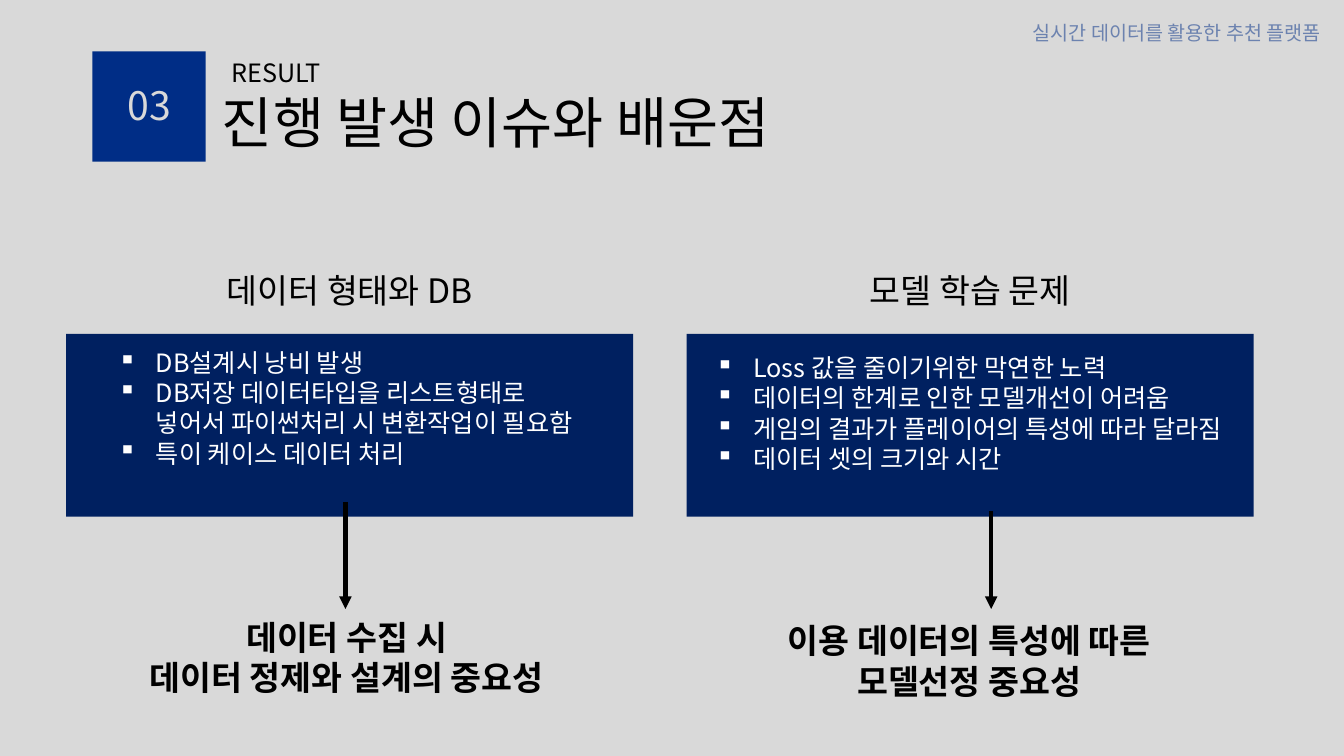
from lxml import etree
from pptx import Presentation
from pptx.dml.color import RGBColor
from pptx.enum.shapes import MSO_CONNECTOR, MSO_SHAPE
from pptx.enum.text import MSO_ANCHOR, PP_ALIGN
from pptx.oxml.ns import qn
from pptx.util import Pt

PX = 9525
FONT = "Noto Sans CJK KR"
GREY, BLUE, NAVY = "D9D9D9", "002D86", "002060"
BLACK, WHITE = "000000", "FFFFFF"
LEFT, CENTER = PP_ALIGN.LEFT, PP_ALIGN.CENTER
TOP, MIDDLE = MSO_ANCHOR.TOP, MSO_ANCHOR.MIDDLE
RECTANGLE, STRAIGHT = MSO_SHAPE.RECTANGLE, MSO_CONNECTOR.STRAIGHT
PANEL_TOP, PANEL_WIDTH, PANEL_HEIGHT = 318, 540, 174
HEADING_TOP, HEADING_HEIGHT = 252, 48
BULLET_INDENT = 36
ARROW_END = 580

COLUMNS = [
    {
        "left": 63,
        "heading": "데이터 형태와 DB",
        "list_box": (103, 326, 462, 156),
        "items": [
            "DB설계시 낭비 발생",
            "DB저장 데이터타입을 리스트형태로 넣어서 파이썬처리 시 변환작업이 필요함",
            "특이 케이스 데이터 처리",
        ],
        "lesson_box": (-18, 583, 696, 87),
        "lesson": ["데이터 수집 시", "데이터 정제와 설계의 중요성"],
        "arrow": (329, 478),
    },
    {
        "left": 654,
        "heading": "모델 학습 문제",
        "list_box": (672, 331, 522, 126),
        "items": [
            "Loss 값을 줄이기위한 막연한 노력",
            "데이터의 한계로 인한 모델개선이 어려움",
            "게임의 결과가 플레이어의 특성에 따라 달라짐",
            "데이터 셋의 크기와 시간",
        ],
        "lesson_box": (606, 586, 634, 87),
        "lesson": ["이용 데이터의 특성에 따른", "모델선정 중요성"],
        "arrow": (944, 487),
    },
]


def rgb(color):
    return RGBColor.from_string(color)


def emu(*lengths):
    return [length * PX for length in lengths]


def add_bullet(paragraph):
    properties = paragraph._p.get_or_add_pPr()
    properties.set("marL", str(BULLET_INDENT * PX))
    properties.set("indent", str(-BULLET_INDENT * PX))
    etree.SubElement(properties, qn("a:buChar")).set("char", "▪")


def add_text(slide, box, lines, size, color, align=LEFT, anchor=TOP,
             bold=False, bullets=False, spacing=1.0, wrap=True):
    shape = slide.shapes.add_textbox(*emu(*box))
    frame = shape.text_frame
    frame.text = "\n".join(lines)
    frame.word_wrap = wrap
    frame.vertical_anchor = anchor
    for paragraph in frame.paragraphs:
        paragraph.alignment = align
        paragraph.line_spacing = spacing
        if bullets:
            add_bullet(paragraph)
        for run in paragraph.runs:
            run.font.size = Pt(size)
            run.font.bold = bold
            run.font.name = FONT
            run.font.color.rgb = rgb(color)
            properties = run._r.get_or_add_rPr()
            etree.SubElement(properties, qn("a:ea")).set("typeface", FONT)
    return shape


def add_rectangle(slide, box, color):
    shape = slide.shapes.add_shape(RECTANGLE, *emu(*box))
    shape.shadow.inherit = False
    shape.fill.solid()
    shape.fill.fore_color.rgb = rgb(color)
    shape.line.fill.background()


def add_down_arrow(slide, x, top, bottom):
    arrow = slide.shapes.add_connector(STRAIGHT, *emu(x, top, x, bottom))
    arrow.line.color.rgb = rgb(BLACK)
    arrow.line.width = Pt(3)
    line = arrow.line._get_or_add_ln()
    etree.SubElement(line, qn("a:tailEnd")).set("type", "triangle")
    etree.SubElement(arrow._element.spPr, qn("a:effectLst"))


def add_platform_label(slide):
    label = add_text(slide, (974, 15, 305, 33), ["실시간 데이터를 활용한 추천 플랫폼"],
                     14, BLUE, wrap=False)
    label.fill.solid()
    label.fill.fore_color.rgb = rgb(GREY)
    for color in label.text_frame._txBody.iter(qn("a:srgbClr")):
        etree.SubElement(color, qn("a:alpha")).set("val", "50000")


def add_header(slide):
    add_platform_label(slide)
    add_rectangle(slide, (88, 49, 108, 105), BLUE)
    add_text(slide, (202, 86, 1104, 67), ["진행 발생 이슈와 배운점"],
             39.6, BLACK, anchor=MIDDLE, spacing=0.9)
    add_text(slide, (211, 53, 1028, 36), ["RESULT"], 18, BLACK, spacing=0.9)
    add_text(slide, (104, 78, 76, 81), ["03"], 28, GREY, CENTER, spacing=0.9)


def add_column(slide, column):
    left = column["left"]
    add_rectangle(slide, (left, PANEL_TOP, PANEL_WIDTH, PANEL_HEIGHT), NAVY)
    add_text(slide, column["list_box"], column["items"], 18, WHITE, bullets=True)
    add_text(slide, (left, HEADING_TOP, PANEL_WIDTH, HEADING_HEIGHT),
             [column["heading"]], 24, BLACK, CENTER)
    add_text(slide, column["lesson_box"], column["lesson"], 24, BLACK, CENTER,
             bold=True)
    add_down_arrow(slide, *column["arrow"], ARROW_END)


def main():
    presentation = Presentation()
    presentation.slide_width, presentation.slide_height = emu(1280, 720)
    slide = presentation.slides.add_slide(presentation.slide_layouts[6])
    slide.background.fill.solid()
    slide.background.fill.fore_color.rgb = rgb(GREY)
    add_header(slide)
    for column in COLUMNS:
        add_column(slide, column)
    presentation.save("out.pptx")


if __name__ == "__main__":
    main()
